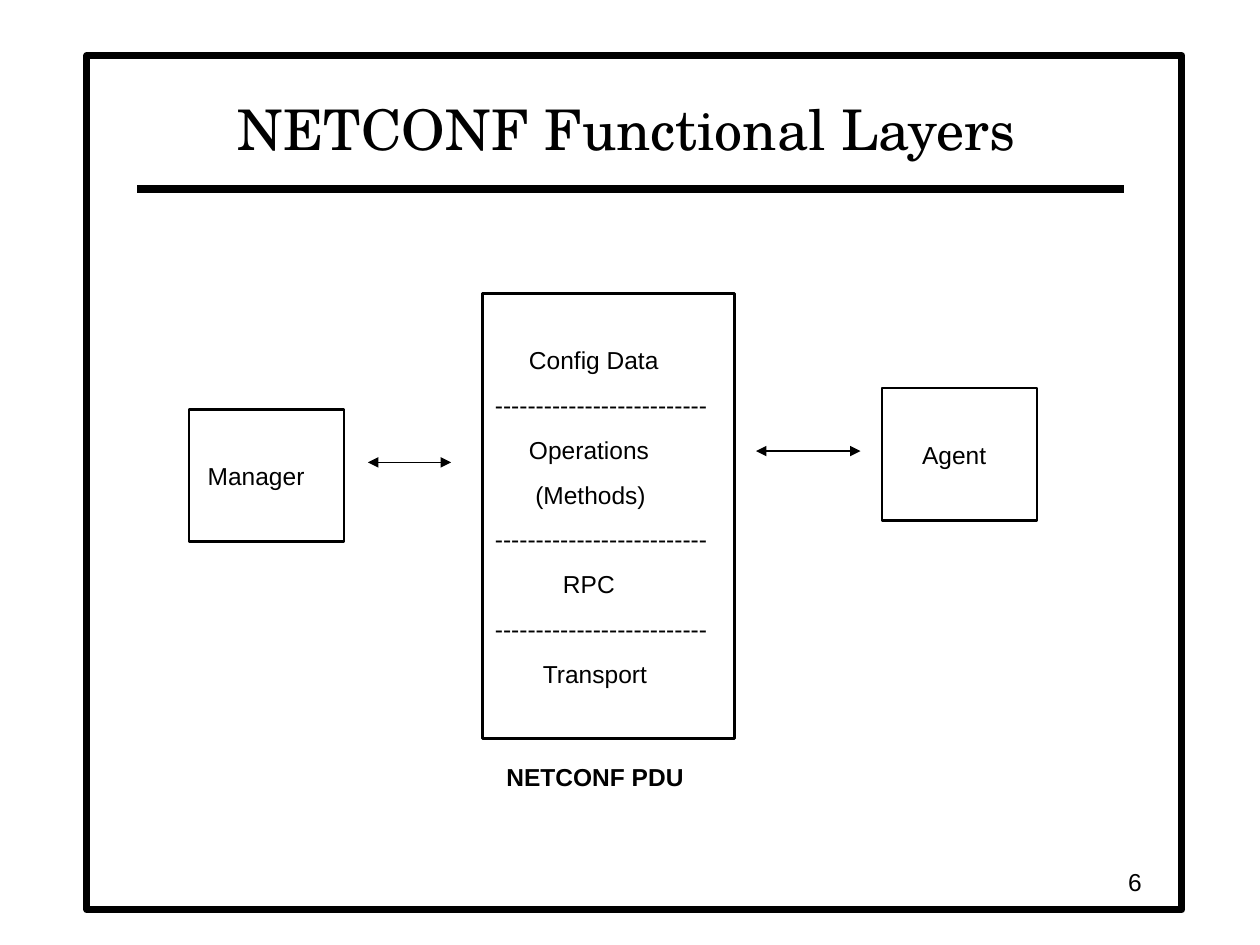
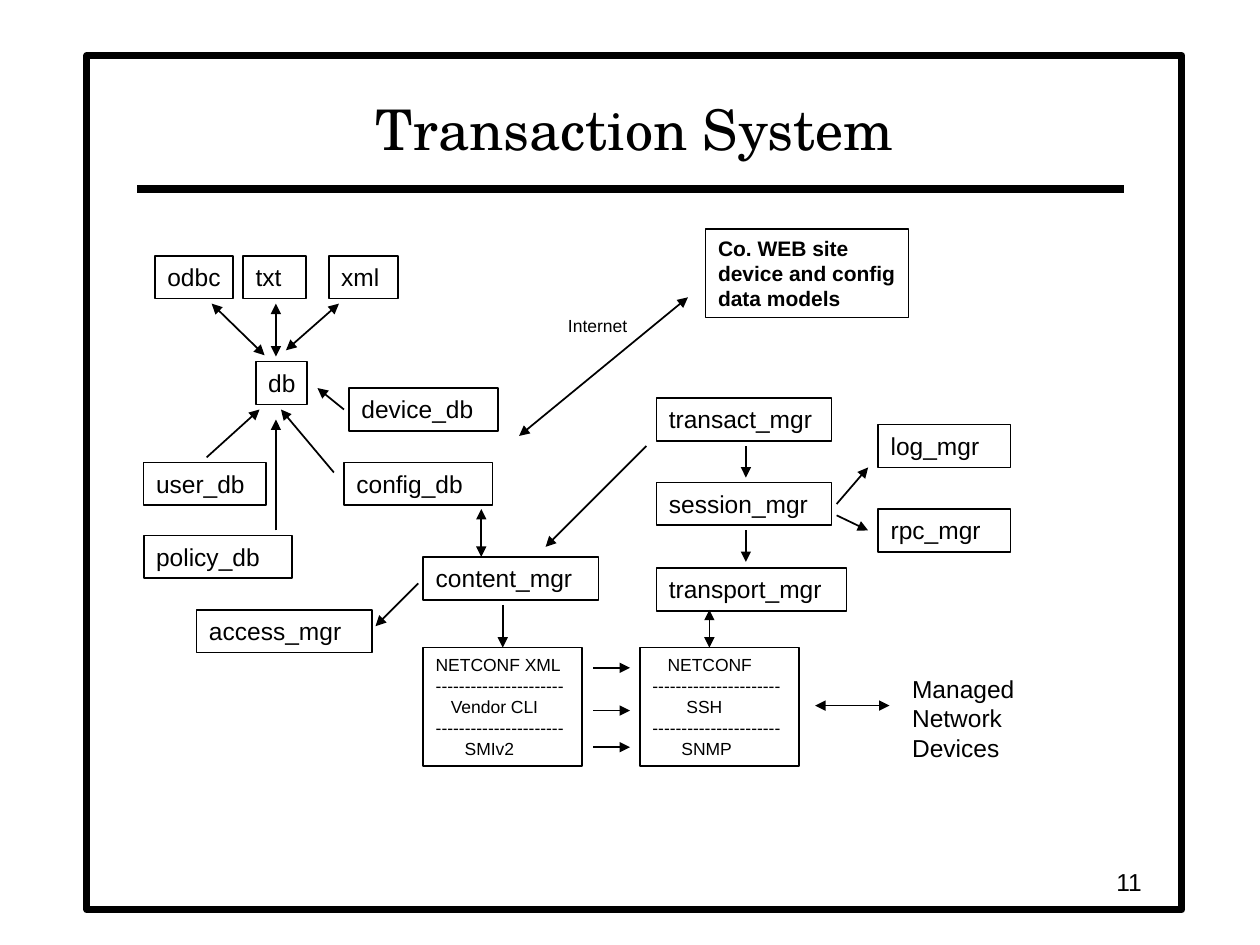
from dataclasses import dataclass

from lxml.etree import SubElement
from pptx import Presentation
from pptx.dml.color import RGBColor
from pptx.enum.shapes import MSO_CONNECTOR as Link, MSO_SHAPE as Preset
from pptx.enum.text import MSO_ANCHOR as Anchor, PP_ALIGN as Align
from pptx.oxml.ns import qn
from pptx.util import Inches, Pt


@dataclass(frozen=True)
class Theme:
    """Colours, fonts, type sizes and line widths of the deck."""
    ink: RGBColor = RGBColor(0, 0, 0)
    paper: RGBColor = RGBColor(255, 255, 255)
    title_font: str = "TeX Gyre Schola"
    body_font: str = "Arial"
    title: int = 32
    body: int = 14
    note: int = 12
    small: int = 10
    frame: float = 4
    rule: float = 4.5
    thick: float = 1.5
    thin: float = 1


THEME = Theme()
BOX_HEIGHT = 0.34


def write(shape, lines, size=THEME.body, font=THEME.body_font, bold=False,
          align=Align.LEFT, anchor=Anchor.TOP, wrap=True, gap=0, top=0.05):
    """Fill a shape with lines, each a text or a (text, indent) pair."""
    frame = shape.text_frame
    frame.word_wrap = wrap
    frame.vertical_anchor = anchor
    frame.margin_left = frame.margin_right = Inches(0.1)
    frame.margin_top, frame.margin_bottom = Inches(top), Inches(0.05)
    for number, line in enumerate(lines):
        text, indent = (line, 0) if isinstance(line, str) else line
        para = frame.add_paragraph() if number else frame.paragraphs[0]
        para.alignment = align
        if indent:
            para._p.get_or_add_pPr().set("marL", str(Inches(indent)))
        if number and gap:
            para.space_before = Pt(gap)
        span = para.add_run()
        span.text = text
        span.font.name, span.font.size = font, Pt(size)
        span.font.bold = bold
        span.font.color.rgb = THEME.ink


def add_text(page, at, lines, **style):
    """Add a text box at left, top, width, height."""
    write(page.shapes.add_textbox(*map(Inches, at)), lines, **style)


def add_box(page, at, lines=(), line_width=THEME.thin, fill=None, **style):
    """Add an outlined rectangle with optional text."""
    box = page.shapes.add_shape(Preset.RECTANGLE, *map(Inches, at))
    box.shadow.inherit = False
    if fill is None:
        box.fill.background()
    else:
        box.fill.solid()
        box.fill.fore_color.rgb = fill
    box.line.color.rgb = THEME.ink
    box.line.width = Pt(line_width)
    write(box, lines, **style)
    return box


def add_line(page, start, end, line_width=THEME.thin, heads=()):
    """Add a straight line with arrowheads at the named ends."""
    line = page.shapes.add_connector(
        Link.STRAIGHT, *map(Inches, (*start, *end)))
    line.line.color.rgb = THEME.ink
    line.line.width = Pt(line_width)
    properties = line._element.spPr
    for head in heads:
        SubElement(properties.find(qn("a:ln")), qn(f"a:{head}"), type="triangle")
    SubElement(properties, qn("a:effectLst"))
    return line


def add_arrow(page, start, tip):
    """Add an arrow pointing at its tip."""
    return add_line(page, start, tip, heads=("tailEnd",))


def add_double_arrow(page, start, end):
    """Add an arrow pointing both ways."""
    return add_line(page, start, end, heads=("headEnd", "tailEnd"))


def add_page(deck, title, number, title_indent=0):
    """Add a slide with the shared frame, title, rule and page number."""
    page = deck.slides.add_slide(deck.slide_layouts[6])
    add_box(page, (0.69, 0.44, 8.69, 6.78), line_width=THEME.frame, fill=THEME.paper)
    add_line(page, (1.09, 1.5), (8.92, 1.5), THEME.rule)
    add_text(page, (1.08, 0.58, 7.79, 0.75), [(title, title_indent)],
             size=THEME.title, font=THEME.title_font,
             align=Align.CENTER, anchor=Anchor.BOTTOM)
    add_text(page, (7.08, 6.83, 2.08, 0.33), [str(number)],
             align=Align.RIGHT, anchor=Anchor.MIDDLE)
    return page


def build_layers(deck):
    """Build the slide on the protocol's functional layers."""
    page = add_page(deck, "NETCONF Functional Layers", 6)
    for left, top, name, indent in ((1.5, 3.25, "Manager", 0.05),
                                    (7, 3.08, "Agent", 0.22)):
        add_box(page, (left, top, 1.23, 1.05), [(name, indent)],
                line_width=THEME.thick, top=0.41)
    divider = "-" * 26
    layers = [("Config Data", 0.27), divider,
              ("Operations", 0.27), ("(Methods)", 0.32), divider,
              ("RPC", 0.54), divider, ("Transport", 0.38)]
    add_box(page, (3.83, 2.33, 2, 3.53), layers,
            line_width=THEME.thick, gap=8.8, top=0.41)
    add_double_arrow(page, (2.92, 3.67), (3.58, 3.67))
    add_double_arrow(page, (6, 3.58), (6.83, 3.58))
    add_text(page, (3.92, 6, 1.61, BOX_HEIGHT), ["NETCONF PDU"],
             bold=True, wrap=False)


def build_transactions(deck):
    """Build the slide on the transaction system."""
    page = add_page(deck, "Transaction System", 11, title_indent=0.12)

    modules = (
        ("txt", 1.93, 2.03, 0.5), ("xml", 2.61, 2.03, 0.55),
        ("device_db", 2.77, 3.08, 1.18), ("config_db", 2.73, 3.67, 1.18),
        ("user_db", 1.14, 3.67, 0.97), ("policy_db", 1.14, 4.25, 1.18),
        ("content_mgr", 3.36, 4.42, 1.39), ("access_mgr", 1.56, 4.84, 1.39),
        ("transact_mgr", 5.21, 3.16, 1.39), ("session_mgr", 5.21, 3.83, 1.39),
        ("transport_mgr", 5.21, 4.51, 1.51),
        ("log_mgr", 6.97, 3.37, 1.05), ("rpc_mgr", 6.97, 4.04, 1.05),
    )
    for name, left, top, width in modules:
        add_box(page, (left, top, width, BOX_HEIGHT), [name])
    for name, left, top, width in (("odbc", 1.23, 2.03, 0.62),
                                   ("db", 2.03, 2.87, 0.41)):
        add_box(page, (left, top, width, BOX_HEIGHT), [name], wrap=False)

    add_box(page, (5.6, 1.82, 1.61, 0.7),
            ["Co. WEB site", "device and config", "data models"],
            size=THEME.note, bold=True, wrap=False)
    add_text(page, (4.41, 2.45, 0.67, 0.27), ["Internet"],
             size=THEME.small, wrap=False)
    add_text(page, (7.14, 5.3, 1.01, 0.8), ["Managed", "Network", "Devices"],
             wrap=False)

    divider = "-" * 22
    content_stack, transport_stack = (
        add_box(page, (left, 5.14, 1.26, 0.94),
                [first, divider, second, divider, third], size=THEME.small)
        for left, first, second, third in (
            (3.36, "NETCONF XML", ("Vendor CLI", 0.12), ("SMIv2", 0.23)),
            (5.08, ("NETCONF", 0.12), ("SSH", 0.27), ("SNMP", 0.23))))

    for start, end in (
            ((6.47, 5.6), (7.06, 5.6)), ((5.46, 2.36), (4.12, 3.46)),
            ((2.19, 2.83), (2.19, 2.41)), ((2.1, 2.82), (1.68, 2.41)),
            ((2.69, 2.41), (2.27, 2.78)), ((3.82, 4.04), (3.82, 4.42)),
            ((5.63, 4.84), (5.63, 5.14))):
        add_double_arrow(page, start, end)
    for start, tip in (
            ((1.64, 3.63), (2.06, 3.25)), ((2.65, 3.75), (2.23, 3.25)),
            ((2.73, 3.25), (2.52, 3.08)), ((2.19, 4.21), (2.19, 3.33)),
            ((5.92, 3.54), (5.92, 3.79)), ((5.92, 4.21), (5.92, 4.46)),
            ((5.13, 3.54), (4.33, 4.34)), ((3.32, 4.63), (2.98, 4.97)),
            ((6.64, 4), (6.89, 3.71)), ((6.64, 4.09), (6.89, 4.21))):
        add_arrow(page, start, tip)
    for level in (5.3, 5.64, 5.93):
        add_arrow(page, (4.71, level), (5, level))
    add_arrow(page, (3.99, 4.8), (3.99, 5.14)).end_connect(content_stack, 0)


def main():
    """Build and save the deck."""
    deck = Presentation()
    deck.slide_width, deck.slide_height = Inches(10), Inches(7.5)
    build_layers(deck)
    build_transactions(deck)
    deck.save("out.pptx")


if __name__ == "__main__":
    main()
